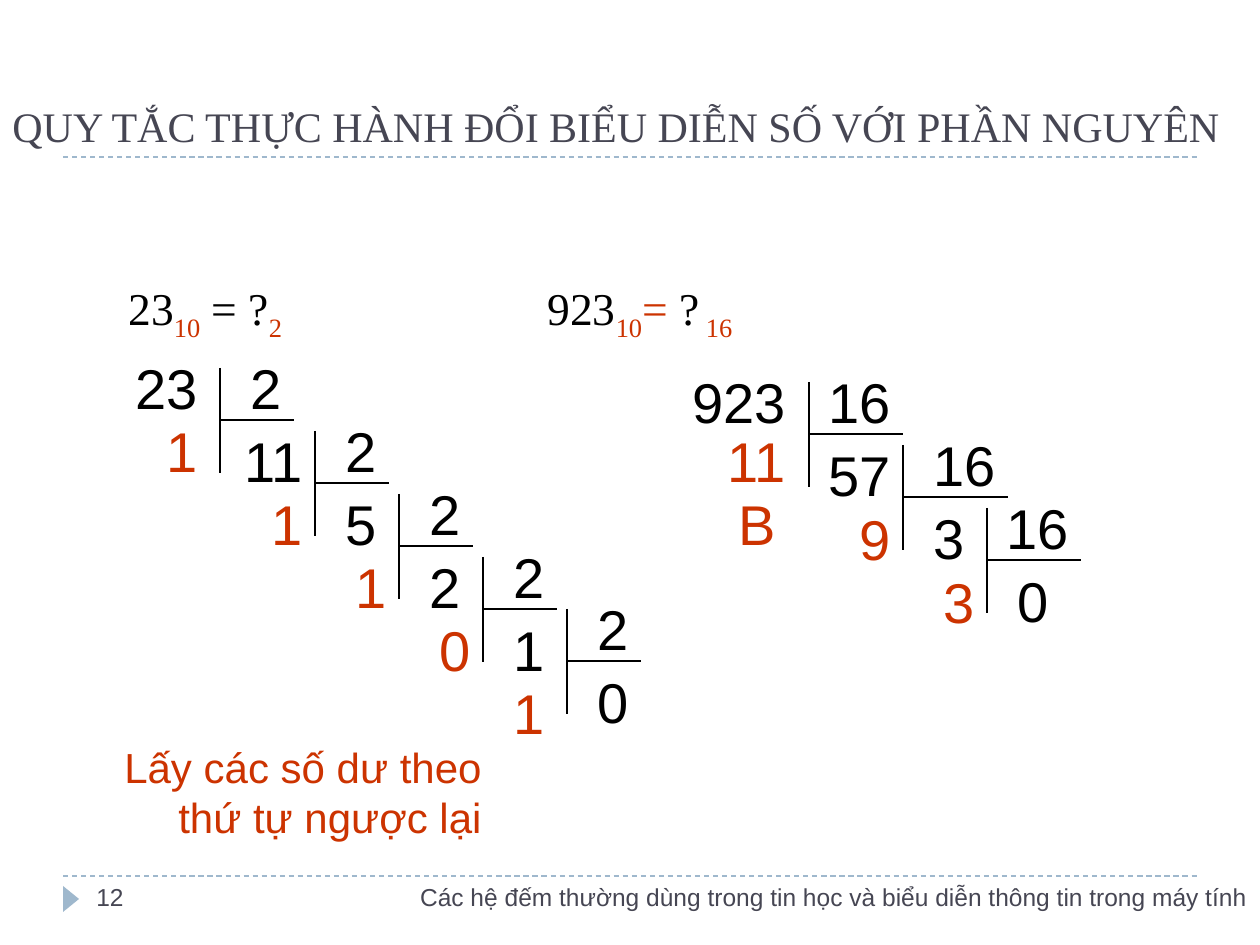
from dataclasses import dataclass

from lxml.etree import SubElement
from pptx import Presentation
from pptx.dml.color import RGBColor
from pptx.enum.dml import MSO_LINE
from pptx.enum.shapes import MSO_CONNECTOR, MSO_SHAPE
from pptx.enum.text import MSO_ANCHOR, MSO_AUTO_SIZE, PP_ALIGN
from pptx.oxml.ns import qn
from pptx.util import Pt

SCALE = 914400 / 126


def px(n):
    return round(n * SCALE)


@dataclass(frozen=True)
class Theme:
    ink: str = "000000"
    red: str = "CC3300"
    slate: str = "464653"
    blue: str = "9FB8CD"
    sans: str = "Arial"
    serif: str = "Times New Roman"
    digit: int = 32
    sums: int = 26
    head: int = 24
    foot: int = 14
    rule: float = 0.75


class Board:
    def __init__(self, slide, theme):
        self.slide = slide
        self.theme = theme

    def line(self, x1, y1, x2, y2, color, dash=None):
        bar = self.slide.shapes.add_connector(
            MSO_CONNECTOR.STRAIGHT, px(x1), px(y1), px(x2), px(y2))
        bar.line.color.rgb = RGBColor.from_string(color)
        bar.line.width = Pt(self.theme.rule)
        bar.line.dash_style = dash
        SubElement(bar.element.spPr, qn("a:effectLst"))

    def marker(self, x, y, w, h):
        mark = self.slide.shapes.add_shape(
            MSO_SHAPE.ISOSCELES_TRIANGLE, px(x), px(y), px(w), px(h))
        mark.rotation = 90
        mark.shadow.inherit = False
        mark.fill.solid()
        mark.fill.fore_color.rgb = RGBColor.from_string(self.theme.blue)
        mark.line.fill.background()

    def text(self, x, y, w, h, words, size, color, font=None,
             align=PP_ALIGN.LEFT, before=0, grow=False):
        """Add a text box of one paragraph and return its frame."""
        frame = self.slide.shapes.add_textbox(px(x), px(y), px(w), px(h)).text_frame
        frame.word_wrap = True
        if grow:
            frame.auto_size = MSO_AUTO_SIZE.SHAPE_TO_FIT_TEXT
        para = frame.paragraphs[0]
        para.alignment = align
        para.space_before = Pt(before)
        para.font.size = Pt(size)
        para.font.name = font or self.theme.sans
        para.font.color.rgb = RGBColor.from_string(color)
        if words:
            para.add_run().text = words
        return frame

    def sums(self, x, y, w, h, parts, stop):
        """Add a line of (words, color, lowered) runs with one tab stop."""
        theme = self.theme
        para = self.text(x, y, w, h, "", theme.sums, theme.ink,
                         theme.serif, before=6).paragraphs[0]
        para.line_spacing = 1.5
        tabs = para._p.get_or_add_pPr().makeelement(qn("a:tabLst"))
        SubElement(tabs, qn("a:tab"), pos=str(px(stop)), algn="l")
        para._p.pPr.find(qn("a:defRPr")).addprevious(tabs)
        for words, color, low in parts:
            run = para.add_run()
            run.text = words
            run.font.color.rgb = RGBColor.from_string(color)
            if low:
                run._r.get_or_add_rPr().set("baseline", "-25000")

    def number(self, x, y, w, words, color=None):
        self.text(x, y, w, 81, words, self.theme.digit, color or self.theme.ink,
                  align=PP_ALIGN.RIGHT, before=20, grow=True)

    def step(self, x, y, w, base, left, wide, quot):
        """Draw the division bars, the divisor above and the quotient below."""
        ink = self.theme.ink
        self.line(x, y + 21, x, y + 126, ink)
        self.line(x, y + 73, x + w, y + 73, ink)
        self.number(x, y, w, base)
        self.number(left, y + 73, wide, quot)


# Bar x, top, bar width, divisor, quotient x, quotient width, quotient
STEPS = [
    (220, 347, 74, "2", 220, 95, "11"),
    (315, 410, 74, "2", 305, 84, "5"),
    (399, 473, 74, "2", 389, 84, "2"),
    (483, 536, 74, "2", 494, 63, "1"),
    (567, 588, 74, "2", 578, 63, "0"),
    (809, 361, 94, "16", 809, 94, "57"),
    (903, 424, 105, "16", 893, 84, "3"),
    (987, 487, 94, "16", 977, 84, "0"),
]
# Remainder x, top, width, digits
RESTS = [
    (147, 410, 63, "1"), (252, 483, 63, "1"), (336, 546, 63, "1"),
    (420, 609, 63, "0"), (494, 672, 63, "1"),
    (683, 420, 115, "11"), (725, 483, 63, "B"),
    (840, 498, 63, "9"), (924, 561, 63, "3"),
]


def main():
    deck = Presentation()
    deck.slide_width, deck.slide_height = px(1260), px(945)
    theme = Theme()
    board = Board(deck.slides.add_slide(deck.slide_layouts[6]), theme)

    for y in (876, 157):
        board.line(63, y, 1197, y, theme.blue, MSO_LINE.DASH)
    board.marker(58, 891, 26, 16)
    title = board.text(0, 79, 1270, 78,
                       "QUY TẮC THỰC HÀNH ĐỔI BIỂU DIỄN SỐ VỚI PHẦN NGUYÊN",
                       theme.head, theme.slate, theme.serif)
    title.vertical_anchor = MSO_ANCHOR.BOTTOM

    ink, red = theme.ink, theme.red
    board.sums(116, 243, 1102, 576, [
        ("23", ink, False), ("10", red, True), (" = ?", ink, False),
        ("2", red, True), ("\t923", ink, False), ("10", red, True),
        ("= ", red, False), ("?", ink, False), (" 16", red, True),
    ], 419)

    board.number(116, 347, 94, "23")
    board.number(651, 361, 147, "923")
    for item in STEPS:
        board.step(*item)
    for item in RESTS:
        board.number(*item, red)

    board.text(94, 735, 400, 113, "Lấy các số dư theo thứ tự ngược lại",
               theme.head, red, align=PP_ALIGN.RIGHT, before=15, grow=True)
    board.text(84, 876, 74, 50, "12", theme.foot, theme.slate, before=3.5)
    board.text(179, 876, 1081, 50,
               "Các hệ đếm thường dùng trong tin học và biểu diễn thông tin trong máy tính",
               theme.foot, theme.slate, align=PP_ALIGN.RIGHT, before=3.5)
    deck.save("out.pptx")


if __name__ == "__main__":
    main()
